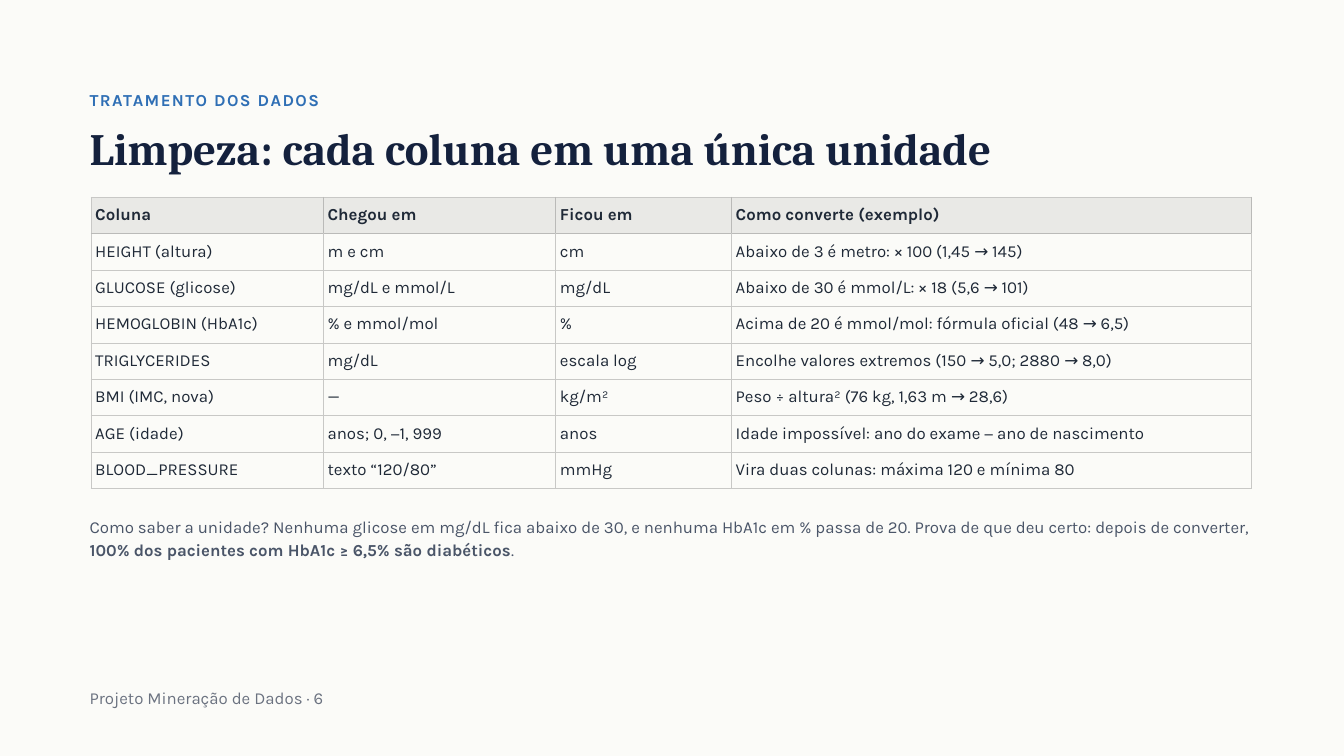
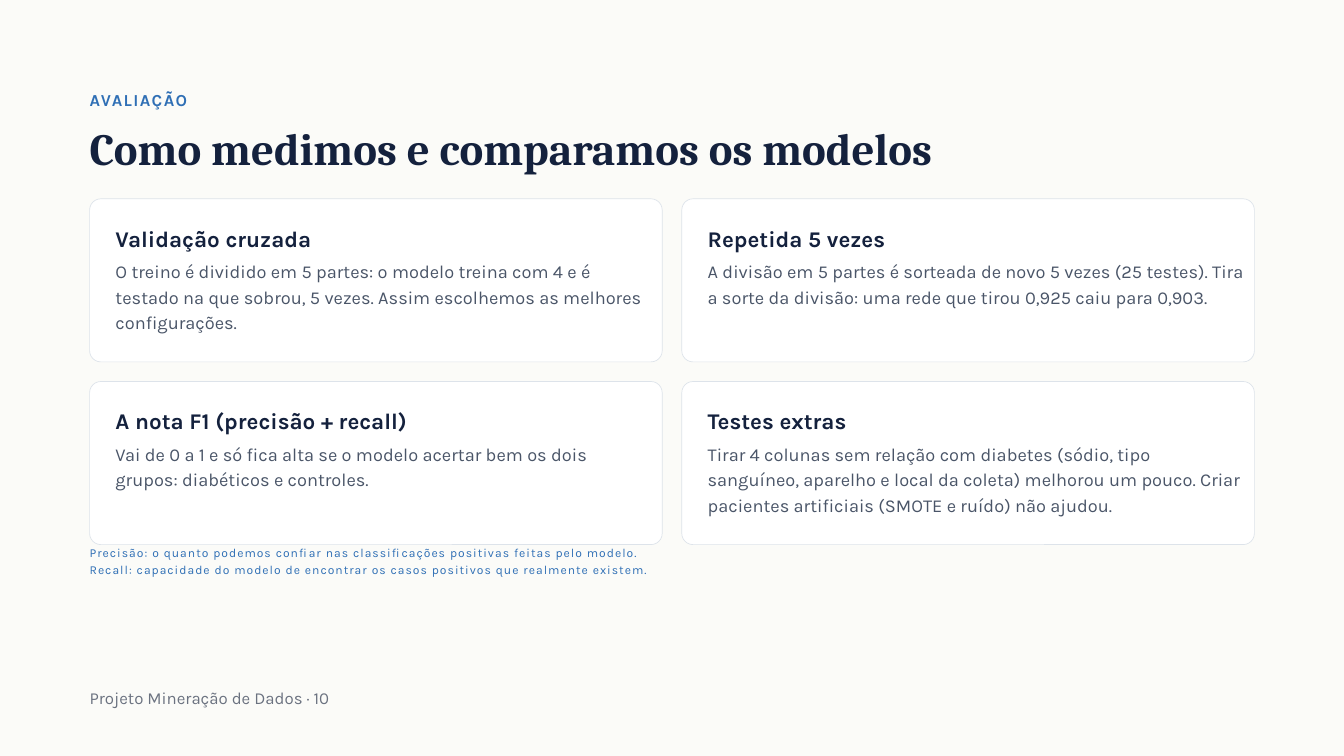
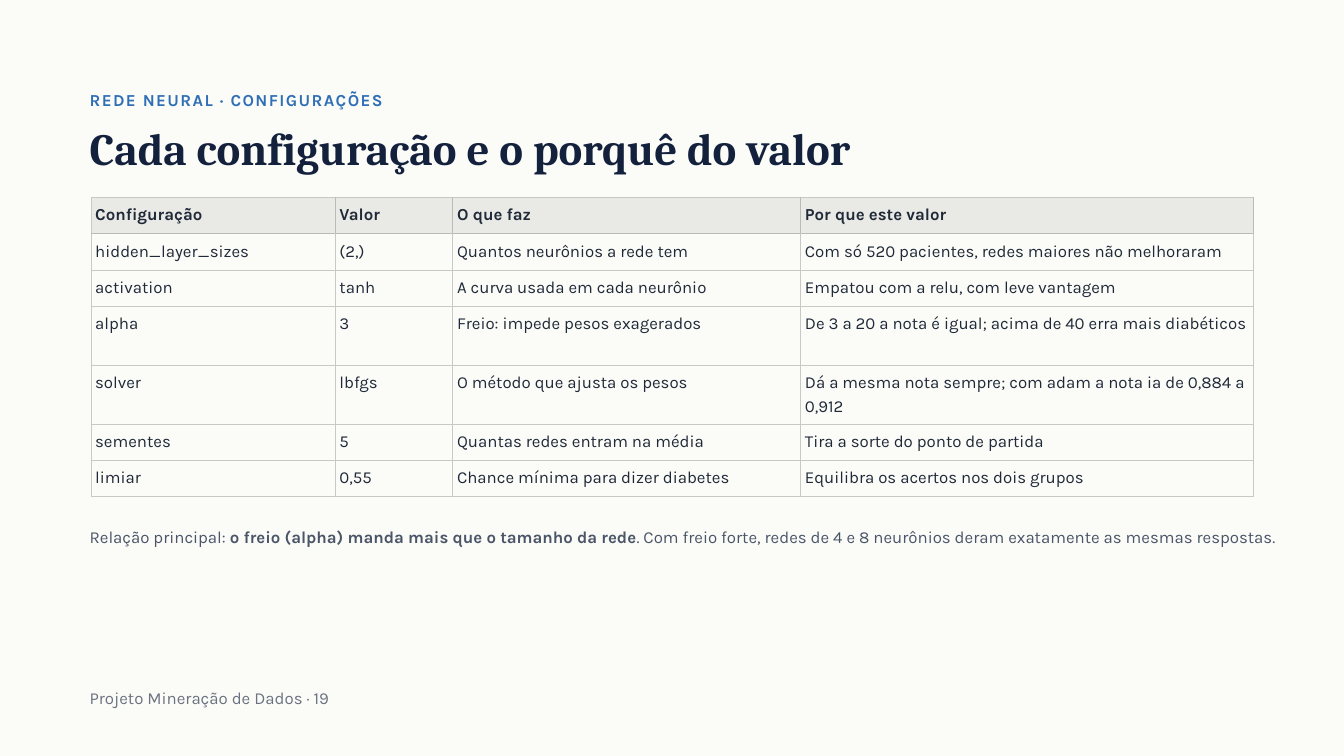
import pptx
import pptx.dml.color
import pptx.enum.shapes
import pptx.enum.text
import pptx.oxml
import pptx.oxml.ns
import pptx.util

PX = 9525
PAPER = pptx.dml.color.RGBColor(0xFB, 0xFB, 0xF8)
WHITE = pptx.dml.color.RGBColor(0xFF, 0xFF, 0xFF)
NAVY = pptx.dml.color.RGBColor(0x14, 0x21, 0x3D)
BLUE = pptx.dml.color.RGBColor(0x2F, 0x6F, 0xB5)
SLATE = pptx.dml.color.RGBColor(0x4A, 0x55, 0x68)
GRAY = pptx.dml.color.RGBColor(0x6B, 0x72, 0x80)
INK = pptx.dml.color.RGBColor(0x1F, 0x29, 0x37)
CARD_LINE = pptx.dml.color.RGBColor(0xDD, 0xE3, 0xEA)
HEADER_FILL = pptx.dml.color.RGBColor(0xE9, 0xE9, 0xE6)
GRID = pptx.dml.color.RGBColor(0xC8, 0xC8, 0xC6)
HEADER_GRID = pptx.dml.color.RGBColor(0xBA, 0xBA, 0xB8)
LEFT = 128
WIDTH = 1714
TABLE_LEFT = 130
TABLE_TOP = 282
ROW = 52
TALL_ROW = 84

presentation = pptx.Presentation()
presentation.slide_width = 1920 * PX
presentation.slide_height = 1080 * PX
background = presentation.slide_master.background.fill
background.solid()
background.fore_color.rgb = PAPER


def write(text_frame, text, size, color, leading, font="Karla", bold=False, tracking=0):
    text_frame.text = text.replace("**", "")
    for paragraph, line in zip(text_frame.paragraphs, text.split("\n")):
        paragraph.alignment = pptx.enum.text.PP_ALIGN.LEFT
        paragraph.line_spacing = pptx.util.Pt(leading)
        parts = line.split("**")
        paragraph.runs[0].text = parts[0]
        for part in parts[1:]:
            paragraph.add_run().text = part
        for index, run in enumerate(paragraph.runs):
            run.font.name = font
            run.font.size = pptx.util.Pt(size)
            run.font.bold = bold or index % 2 == 1
            run.font.color.rgb = color
            if tracking:
                run._r.get_or_add_rPr().set("spc", str(tracking))


def place_text(slide, box, text, size, color, leading, shape=None, **style):
    shape = shape or slide.shapes.add_textbox(0, 0, 0, 0)
    shape.left, shape.top, shape.width, shape.height = [value * PX for value in box]
    text_frame = shape.text_frame
    text_frame.margin_left = text_frame.margin_right = 0
    text_frame.margin_top = text_frame.margin_bottom = 0
    text_frame.word_wrap = True
    text_frame.vertical_anchor = pptx.enum.text.MSO_ANCHOR.TOP
    text_frame.auto_size = pptx.enum.text.MSO_AUTO_SIZE.SHAPE_TO_FIT_TEXT
    write(text_frame, text, size, color, leading, **style)


headings = [
    ("TRATAMENTO DOS DADOS", "Limpeza: cada coluna em uma única unidade", 6),
    ("AVALIAÇÃO", "Como medimos e comparamos os modelos", 10),
    ("REDE NEURAL · CONFIGURAÇÕES", "Cada configuração e o porquê do valor", 19),
]
slides = []
for section, title, number in headings:
    slide = presentation.slides.add_slide(presentation.slide_layouts[5])
    place_text(slide, (LEFT, 179, WIDTH, 69), title, 48, NAVY, 52.8,
               shape=slide.shapes.title, font="Cambria", bold=True)
    place_text(slide, (LEFT, 124, WIDTH, 41), section, 18, BLUE, 25.2,
               bold=True, tracking=150)
    place_text(slide, (LEFT, 978, WIDTH, 41), f"Projeto Mineração de Dados · {number}",
               18, GRAY, 25.2)
    slides.append(slide)
cleaning_slide, evaluation_slide, settings_slide = slides

cleaning_rows = [
    ("Coluna", "Chegou em", "Ficou em", "Como converte (exemplo)"),
    ("HEIGHT (altura)", "m e cm", "cm", "Abaixo de 3 é metro: × 100 (1,45 → 145)"),
    ("GLUCOSE (glicose)", "mg/dL e mmol/L", "mg/dL", "Abaixo de 30 é mmol/L: × 18 (5,6 → 101)"),
    ("HEMOGLOBIN (HbA1c)", "% e mmol/mol", "%", "Acima de 20 é mmol/mol: fórmula oficial (48 → 6,5)"),
    ("TRIGLYCERIDES", "mg/dL", "escala log", "Encolhe valores extremos (150 → 5,0; 2880 → 8,0)"),
    ("BMI (IMC, nova)", "—", "kg/m²", "Peso ÷ altura² (76 kg, 1,63 m → 28,6)"),
    ("AGE (idade)", "anos; 0, −1, 999", "anos", "Idade impossível: ano do exame − ano de nascimento"),
    ("BLOOD_PRESSURE", "texto “120/80”", "mmHg", "Vira duas colunas: máxima 120 e mínima 80"),
]
settings_rows = [
    ("Configuração", "Valor", "O que faz", "Por que este valor"),
    ("hidden_layer_sizes", "(2,)", "Quantos neurônios a rede tem", "Com só 520 pacientes, redes maiores não melhoraram"),
    ("activation", "tanh", "A curva usada em cada neurônio", "Empatou com a relu, com leve vantagem"),
    ("alpha", "3", "Freio: impede pesos exagerados", "De 3 a 20 a nota é igual; acima de 40 erra mais diabéticos"),
    ("solver", "lbfgs", "O método que ajusta os pesos", "Dá a mesma nota sempre; com adam a nota ia de 0,884 a 0,912"),
    ("sementes", "5", "Quantas redes entram na média", "Tira a sorte do ponto de partida"),
    ("limiar", "0,55", "Chance mínima para dizer diabetes", "Equilibra os acertos nos dois grupos"),
]
tables = [
    (cleaning_slide, cleaning_rows, (332, 332, 251, 743), [ROW] * 8),
    (settings_slide, settings_rows, (349, 168, 497, 646), [ROW] * 3 + [TALL_ROW] * 2 + [ROW] * 2),
]
for slide, rows, widths, heights in tables:
    table = slide.shapes.add_table(
        len(rows), len(widths), TABLE_LEFT * PX, TABLE_TOP * PX,
        sum(widths) * PX, sum(heights) * PX).table
    table.first_row = False
    table.horz_banding = False
    for column, width in zip(table.columns, widths):
        column.width = width * PX
    for row_index, (values, height) in enumerate(zip(rows, heights)):
        table.rows[row_index].height = height * PX
        header = row_index == 0
        for column_index, value in enumerate(values):
            cell = table.cell(row_index, column_index)
            cell.margin_left = cell.margin_right = 6 * PX
            cell.margin_top = cell.margin_bottom = 6 * PX
            write(cell.text_frame, value, 18, INK, 25.2, bold=header)
            edges = {
                "lnL": header and column_index > 0,
                "lnR": header,
                "lnT": row_index == 1,
                "lnB": header,
            }
            for edge, dark in edges.items():
                cell._tc.get_or_add_tcPr().append(pptx.oxml.parse_xml(
                    f'<a:{edge} {pptx.oxml.ns.nsdecls("a")} w="12700"><a:solidFill>'
                    f'<a:srgbClr val="{HEADER_GRID if dark else GRID}"/>'
                    f'</a:solidFill></a:{edge}>'))
            if header:
                cell.fill.solid()
                cell.fill.fore_color.rgb = HEADER_FILL
            else:
                cell.fill.background()

place_text(cleaning_slide, (LEFT, 733, WIDTH, 75),
           "Como saber a unidade? Nenhuma glicose em mg/dL fica abaixo de 30, e nenhuma "
           "HbA1c em % passa de 20. Prova de que deu certo: depois de converter, "
           "**100% dos pacientes com HbA1c ≥ 6,5% são diabéticos**.", 18, SLATE, 25.2)
place_text(settings_slide, (LEFT, 748, 1792, 41),
           "Relação principal: **o freio (alpha) manda mais que o tamanho da rede**. "
           "Com freio forte, redes de 4 e 8 neurônios deram exatamente as mesmas respostas.",
           18, SLATE, 25.2)

CARD_WIDTH = 818
CARD_HEIGHT = 233
CARD_GAP = 28
CARD_RADIUS = 16
CARD_INSET = 37
cards = [
    ("Validação cruzada",
     "O treino é dividido em 5 partes: o modelo treina com 4 e é testado na que sobrou, "
     "5 vezes. Assim escolhemos as melhores configurações."),
    ("Repetida 5 vezes",
     "A divisão em 5 partes é sorteada de novo 5 vezes (25 testes). Tira a sorte da "
     "divisão: uma rede que tirou 0,925 caiu para 0,903."),
    ("A nota F1 (precisão + recall)",
     "Vai de 0 a 1 e só fica alta se o modelo acertar bem os dois grupos: diabéticos e "
     "controles."),
    ("Testes extras",
     "Tirar 4 colunas sem relação com diabetes (sódio, tipo sanguíneo, aparelho e local "
     "da coleta) melhorou um pouco. Criar pacientes artificiais (SMOTE e ruído) não ajudou."),
]
for index, (heading, description) in enumerate(cards):
    left = LEFT + index % 2 * (CARD_WIDTH + CARD_GAP)
    top = 284 + index // 2 * (CARD_HEIGHT + CARD_GAP)
    card = evaluation_slide.shapes.add_shape(
        pptx.enum.shapes.MSO_SHAPE.ROUNDED_RECTANGLE,
        left * PX, top * PX, CARD_WIDTH * PX, CARD_HEIGHT * PX)
    card.adjustments[0] = CARD_RADIUS / CARD_HEIGHT
    card.shadow.inherit = False
    card.fill.solid()
    card.fill.fore_color.rgb = WHITE
    card.line.color.rgb = CARD_LINE
    card.line.width = pptx.util.Pt(0.75)
    place_text(evaluation_slide, (left + CARD_INSET, top + 37, 767, 42),
               heading, 24, NAVY, 28.8, bold=True)
    place_text(evaluation_slide, (left + CARD_INSET, top + 83, 767, 117),
               description, 19.5, SLATE, 27.3)

place_text(evaluation_slide, (LEFT, 775, 1138, 48),
           "Precisão: o quanto podemos confiar nas classificações positivas feitas pelo modelo.\n"
           "Recall: capacidade do modelo de encontrar os casos positivos que realmente existem.",
           13, BLUE, 18.2, tracking=110)

presentation.save("out.pptx")
